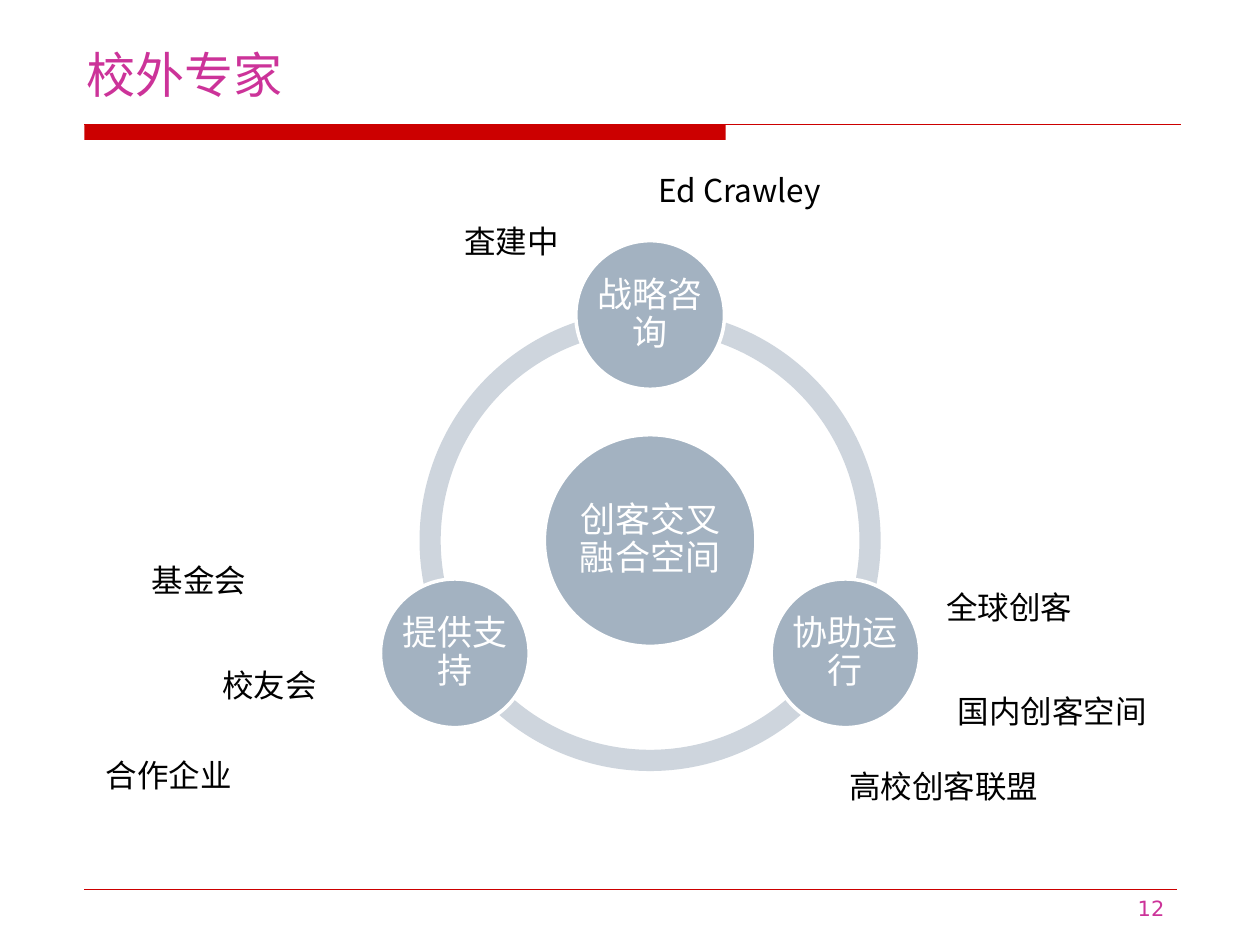
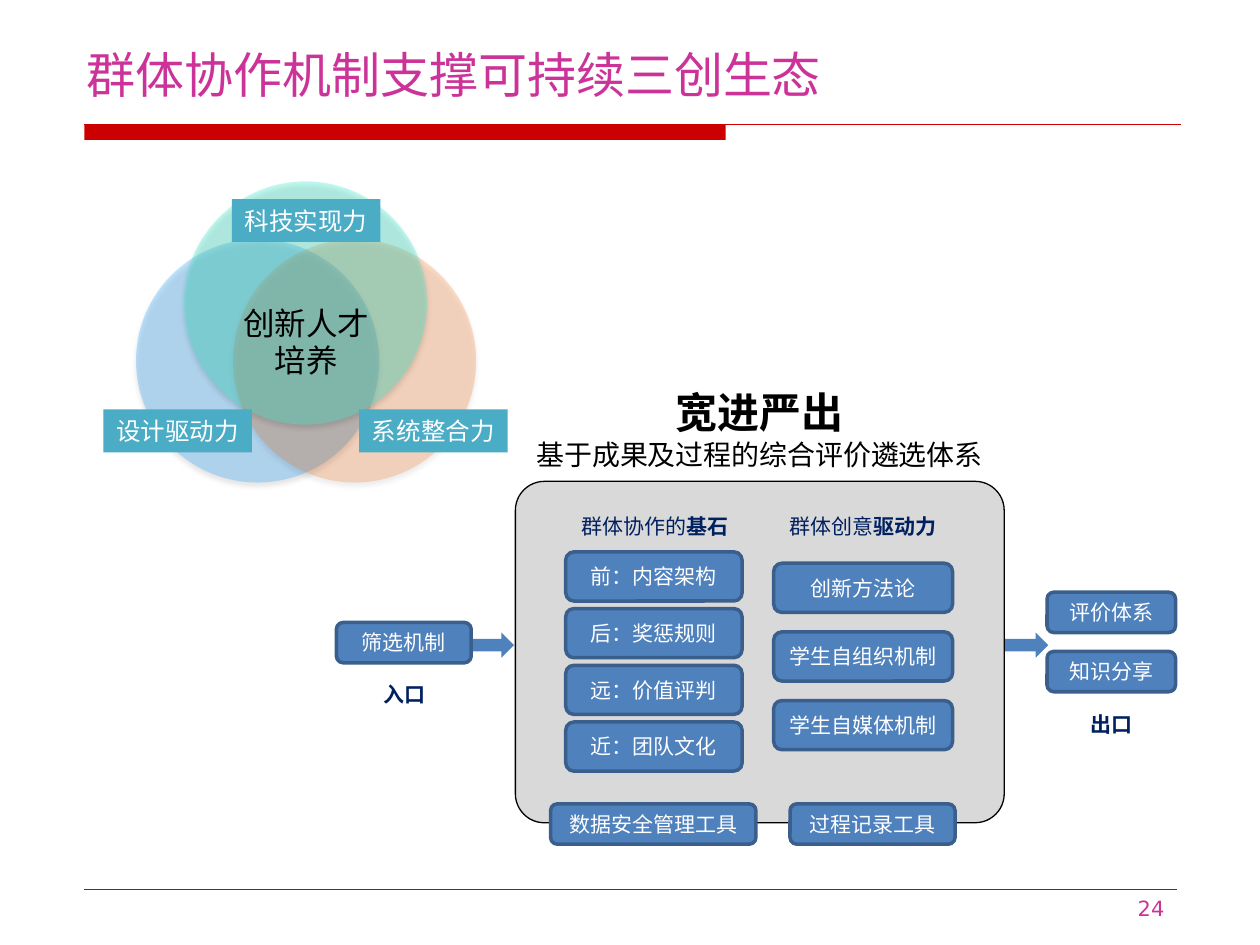
import dataclasses
import math

import lxml.etree
import pptx
import pptx.dml.color
import pptx.enum.shapes
import pptx.enum.text
import pptx.oxml.ns
import pptx.util

SHAPE = pptx.enum.shapes.MSO_SHAPE
ALIGN = pptx.enum.text.PP_ALIGN
ANCHOR = pptx.enum.text.MSO_ANCHOR
qn = pptx.oxml.ns.qn


@dataclasses.dataclass(frozen=True)
class Theme:
    font: str = "Noto Sans CJK SC"
    plain: str = "DejaVu Sans"
    title: str = "CC3399"
    rule: str = "CC0000"
    white: str = "FFFFFF"
    black: str = "000000"
    ring: str = "CED5DD"
    node: str = "A3B2C1"
    panel: str = "D9D9D9"
    card: str = "4F81BD"
    edge: str = "3A5F8C"
    navy: str = "002060"
    tag: str = "4BACC6"
    title_size: int = 28
    head_size: int = 24
    node_size: int = 20
    note_size: int = 18
    sub_size: int = 16
    tag_size: int = 14
    small: int = 12


THEME = Theme()


def rgb(code):
    return pptx.dml.color.RGBColor.from_string(code)


def inches(*sizes):
    return [pptx.util.Inches(size) for size in sizes]


def style(part, size, color, bold=False, font=THEME.font, align=ALIGN.CENTER):
    """Format a paragraph and all its runs, for Latin and East Asian text."""
    part.alignment = align
    for run in part.runs:
        run.font.size = pptx.util.Pt(size)
        run.font.bold = bold
        run.font.name = font
        run.font.color.rgb = rgb(color)
        east = lxml.etree.SubElement(run.font._element, qn("a:ea"))
        east.set("typeface", THEME.font)


def add_title(slide, text):
    title = slide.shapes.title
    title.left, title.top, title.width, title.height = inches(0.59, 0.28, 6.93, 0.59)
    frame = title.text_frame
    frame.text = text
    frame.auto_size = pptx.enum.text.MSO_AUTO_SIZE.NONE
    frame.vertical_anchor = ANCHOR.BOTTOM
    style(frame.paragraphs[0], THEME.title_size, THEME.title, align=ALIGN.LEFT)


def add_rule(slide, top, right, width):
    line = slide.shapes.add_connector(
        pptx.enum.shapes.MSO_CONNECTOR.STRAIGHT, *inches(0.67, top, right, top))
    line.line.color.rgb = rgb(THEME.rule)
    line.line.width = pptx.util.Pt(width)
    lxml.etree.SubElement(line._element.spPr, qn("a:effectLst"))


def add_form(slide, kind, box, fill, edge=None, width=2):
    form = slide.shapes.add_shape(kind, *inches(*box))
    form.shadow.inherit = False
    form.fill.solid()
    form.fill.fore_color.rgb = rgb(fill)
    if edge:
        form.line.color.rgb = rgb(edge)
        form.line.width = pptx.util.Pt(width)
    else:
        form.line.fill.background()
    return form


def fill_text(form, text, size, wrap=True):
    """Centre white text in a filled shape."""
    frame = form.text_frame
    frame.text = text
    frame.word_wrap = wrap
    frame.vertical_anchor = ANCHOR.MIDDLE
    frame.margin_left = frame.margin_right = 0
    frame.margin_top = frame.margin_bottom = 0
    style(frame.paragraphs[0], size, THEME.white)


def add_note(slide, box, text, size=THEME.note_size, color=THEME.black,
             wrap=True, **look):
    note = slide.shapes.add_textbox(*inches(*box))
    frame = note.text_frame
    frame.text = text
    frame.word_wrap = wrap
    style(frame.paragraphs[0], size, color, **look)
    return frame


def add_label(slide, box, text, strong):
    """Add a small navy label whose last words are bold."""
    part = add_note(slide, box, text, THEME.small, THEME.navy, False).paragraphs[0]
    part.add_run().text = strong
    style(part, THEME.small, THEME.navy)
    part.runs[-1].font.bold = True


def add_card(slide, box, text):
    card = add_form(slide, SHAPE.ROUNDED_RECTANGLE, box, THEME.card, THEME.edge)
    fill_text(card, text, THEME.small)


def add_stack(slide, left, top, width, height, pitch, texts):
    for row, text in enumerate(texts):
        add_card(slide, (left, top + row * pitch, width, height), text)


def add_node(slide, x, y, size, text):
    box = (x - size / 2, y - size / 2, size, size)
    node = add_form(slide, SHAPE.OVAL, box, THEME.node, THEME.white)
    fill_text(node, text, THEME.node_size)
    node.text_frame.paragraphs[0].line_spacing = 0.9


def add_arc(slide, box, start, end):
    arc = add_form(slide, SHAPE.BLOCK_ARC, box, THEME.ring)
    # Angles are kept in 1/60000 degree, adjustments in 1/100000.
    arc.adjustments[0] = start * 0.6
    arc.adjustments[1] = end * 0.6
    arc.adjustments[2] = 0.046


def add_lens(slide, left, top, fill, alpha):
    """Add a see-through circle with a soft shadow below it."""
    lens = add_form(slide, SHAPE.OVAL, (left, top, 1.93, 1.93), fill)
    props = lens._element.spPr
    tint = props.find(qn("a:solidFill")).find(qn("a:srgbClr"))
    lxml.etree.SubElement(tint, qn("a:alpha")).set("val", str(alpha * 1000))
    shade = lxml.etree.SubElement(props.find(qn("a:effectLst")), qn("a:outerShdw"))
    for key, value in (("blurRad", pptx.util.Pt(3.1)), ("dist", pptx.util.Pt(1.8)),
                       ("dir", 90 * 60000), ("rotWithShape", 0)):
        shade.set(key, str(value))
    color = lxml.etree.SubElement(shade, qn("a:srgbClr"))
    color.set("val", THEME.black)
    lxml.etree.SubElement(color, qn("a:alpha")).set("val", "35000")


def start_slide(deck, title, number):
    slide = deck.slides.add_slide(deck.slide_layouts[5])
    add_title(slide, title)
    add_form(slide, SHAPE.RECTANGLE, (0.67, 0.99, 5.09, 0.12), THEME.rule)
    add_rule(slide, 0.99, 9.37, 0.75)
    add_rule(slide, 7.06, 9.34, 0.25)
    add_note(slide, (7.17, 7.06, 2.17, 0.29), number, THEME.small, THEME.title,
             font=THEME.plain, align=ALIGN.RIGHT)
    return slide


def draw_ring(slide):
    x, y, reach = 5.16, 4.29, 1.79
    for start, end in ((90, 162), (18, 90), (162, 18)):
        add_arc(slide, (x - 1.83, y - 1.83, 3.66, 3.66), start, end)
    add_node(slide, x, y, 1.68, "创客交叉融合空间")
    for step, text in enumerate(("战略咨询", "协助运行", "提供支持")):
        turn = math.radians(120 * step - 90)
        add_node(slide, x + reach * math.cos(turn), y + reach * math.sin(turn),
                 1.18, text)


def draw_experts(deck):
    slide = start_slide(deck, "校外专家", "12")
    draw_ring(slide)
    for left, top, width, text in (
            (3.52, 1.71, 1.08, "査建中"),
            (4.87, 1.31, 2, "Ed Crawley"),
            (7.35, 4.62, 1.32, "全球创客"),
            (7.35, 5.44, 2, "国内创客空间"),
            (6.49, 6.04, 2, "高校创客联盟"),
            (0.83, 4.4, 1.5, "基金会"),
            (1.46, 5.24, 1.36, "校友会"),
            (0.59, 5.95, 1.5, "合作企业")):
        add_note(slide, (left, top, width, 0.4), text)


def draw_flow(slide):
    for left in (3.44, 7.68):
        add_form(slide, SHAPE.RIGHT_ARROW, (left, 5.02, 0.64, 0.2), THEME.card)
    panel = add_form(slide, SHAPE.ROUNDED_RECTANGLE, (4.09, 3.82, 3.88, 2.71),
                     THEME.panel, THEME.black, 0.75)
    panel.adjustments[0] = 0.085
    add_card(slide, (4.37, 6.38, 1.63, 0.32), "数据安全管理工具")
    add_card(slide, (6.27, 6.38, 1.31, 0.32), "过程记录工具")
    add_label(slide, (4.51, 4.03, 1.38, 0.3), "群体协作的", "基石")
    add_stack(slide, 4.49, 4.38, 1.4, 0.39, 0.45,
              ("前：内容架构", "后：奖惩规则", "远：价值评判", "近：团队文化"))
    add_label(slide, (6.16, 4.03, 1.38, 0.3), "群体创意", "驱动力")
    add_stack(slide, 6.14, 4.47, 1.42, 0.39, 0.545,
              ("创新方法论", "学生自组织机制", "学生自媒体机制"))
    add_card(slide, (2.67, 4.94, 1.07, 0.32), "筛选机制")
    add_stack(slide, 8.31, 4.7, 1.02, 0.32, 0.47, ("评价体系", "知识分享"))
    for left, top, text in ((2.94, 5.36, "入口"), (8.55, 5.6, "出口")):
        add_note(slide, (left, top, 0.54, 0.3), text, THEME.small, THEME.navy,
                 wrap=False, bold=True)


def draw_venn(slide):
    add_lens(slide, 1.08, 1.9, "34A8FF", 30)
    add_lens(slide, 1.85, 1.9, "FF6600", 21)
    add_lens(slide, 1.46, 1.44, "41F0D1", 33)
    for left, top, text in ((1.84, 1.58, "科技实现力"), (2.85, 3.25, "系统整合力"),
                            (0.82, 3.25, "设计驱动力")):
        tag = add_form(slide, SHAPE.RECTANGLE, (left, top, 1.18, 0.34), THEME.tag)
        fill_text(tag, text, THEME.tag_size, wrap=False)
    add_note(slide, (1.75, 2.36, 1.36, 0.71), "创新人才培养")


def draw_system(deck):
    slide = start_slide(deck, "群体协作机制支撑可持续三创生态", "24")
    draw_flow(slide)
    draw_venn(slide)
    head = add_note(slide, (4.09, 3.02, 3.88, 0.77), "宽进严出",
                    THEME.head_size, bold=True)
    below = head.add_paragraph()
    below.text = "基于成果及过程的综合评价遴选体系"
    style(below, THEME.sub_size, THEME.black)


def main():
    deck = pptx.Presentation()
    deck.slide_width, deck.slide_height = inches(10, 7.5)
    draw_experts(deck)
    draw_system(deck)
    deck.save("out.pptx")


if __name__ == "__main__":
    main()
